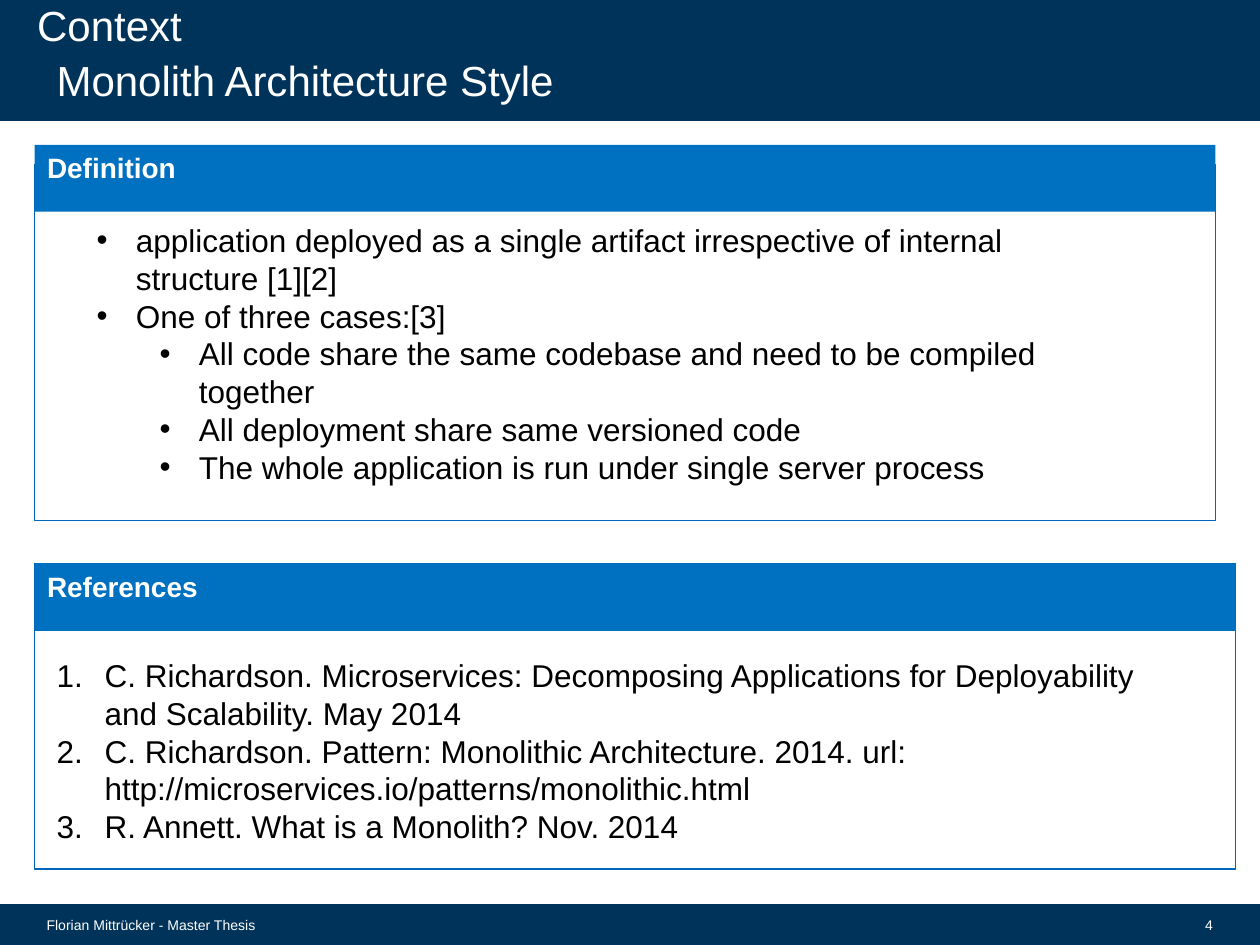
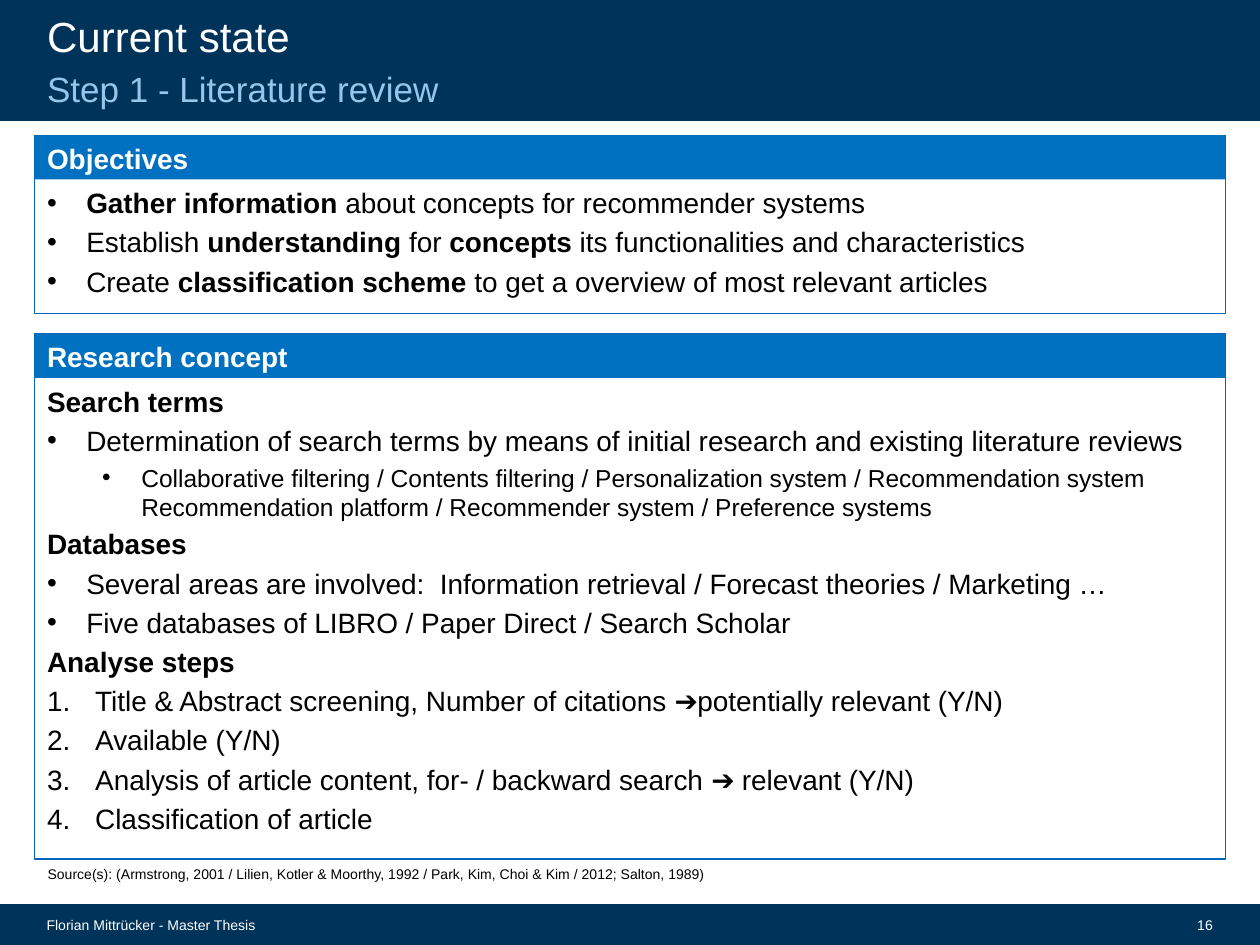
"""Build two thesis slides on monoliths and the literature review."""
from lxml.etree import SubElement as Sub
from pptx import Presentation as Deck
from pptx.dml.color import RGBColor as Rgb
from pptx.enum.shapes import MSO_SHAPE as Kind
from pptx.enum.text import MSO_ANCHOR as Anchor, PP_ALIGN as Align
from pptx.oxml.ns import qn
from pptx.util import Cm, Pt

FONT = "Arial"
NAVY, BLUE, EDGE, SKY = "003359", "0070C0", "0065BD", "98C6EA"
WHITE, BLACK = "FFFFFF", "000000"
WIDE, TALL = 25.4, 19.05
FOOT = 18.24
AUTHOR = "Florian Mittrücker - Master Thesis"

STYLES = {
    "plain": (0, 0, None),
    "dot": (0.79, -0.79, "•"),
    "deep": (2.06, -0.79, "•"),
    "sub": (1.9, -0.79, "•"),
    "num": (0.97, -0.97, "1."),
}

CASES = [
    ("dot", "application deployed as a single artifact irrespective of internal structure [1][2]"),
    ("dot", "One of three cases:[3]"),
    ("deep", "All code share the same codebase and need to be compiled together"),
    ("deep", "All deployment share same versioned code"),
    ("deep", "The whole application is run under single server process"),
]
WORKS = [
    ("num", "C. Richardson. Microservices: Decomposing Applications for Deployability "
            "and Scalability. May 2014"),
    ("num", "C. Richardson. Pattern: Monolithic Architecture. 2014. url: "
            "http://microservices.io/patterns/monolithic.html"),
    ("num", "R. Annett. What is a Monolith? Nov. 2014"),
]
GOALS = [
    ("dot", "**Gather information **about concepts for recommender systems"),
    ("dot", "Establish **understanding **for **concepts **its functionalities and characteristics"),
    ("dot", "Create **classification scheme **to get a overview of most relevant articles"),
]
STEPS = [
    ("plain", "**Search terms**"),
    ("dot", "Determination of search terms by means of initial research "
            "and existing literature reviews"),
    ("sub", "Collaborative ﬁltering / Contents ﬁltering / Personalization system / "
            "Recommendation system Recommendation platform / Recommender system / "
            "Preference systems"),
    ("plain", "**Databases**"),
    ("dot", "Several areas are involved:  Information retrieval / Forecast theories / Marketing …"),
    ("dot", "Five databases of LIBRO / Paper Direct / Search Scholar"),
    ("plain", "**Analyse steps**"),
    ("num", "Title & Abstract screening, Number of citations ➔potentially relevant (Y/N)"),
    ("num", "Available (Y/N)"),
    ("num", "Analysis of article content, for- / backward search ➔ relevant (Y/N)"),
    ("num", "Classification of article"),
]
SOURCE = ("Source(s): (Armstrong, 2001 / Lilien, Kotler & Moorthy, 1992 / "
          "Park, Kim, Choi & Kim / 2012; Salton, 1989)")


def hue(code):
    """Turn a hex string into a colour."""
    return Rgb.from_string(code)


def mark(para, style):
    """Give a paragraph its indent and its bullet or number."""
    margin, indent, sign = STYLES[style]
    props = para._p.get_or_add_pPr()
    props.set("marL", str(Cm(margin)))
    props.set("indent", str(Cm(indent)))
    if sign == "1.":
        Sub(props, qn("a:buAutoNum"), type="arabicPeriod")
    elif sign:
        Sub(props, qn("a:buFont"), typeface=FONT)
        Sub(props, qn("a:buChar"), char=sign)


def fill_text(frame, items, size, color, gap=0):
    """Write styled paragraphs, with bold parts between double stars."""
    for row, (style, text) in enumerate(items):
        para = frame.paragraphs[0] if row == 0 else frame.add_paragraph()
        para.alignment = Align.LEFT
        para.space_before = Pt(gap)
        mark(para, style)
        for turn, part in enumerate(text.split("**")):
            if part:
                run = para.add_run()
                run.text = part
                run.font.name = FONT
                run.font.size = Pt(14 if style == "sub" else size)
                run.font.bold = turn % 2 == 1
                run.font.color.rgb = hue(color)


def add_text(slide, box, items, size, color=BLACK, gap=0, anchor=Anchor.TOP):
    """Add a wrapping text box and return its frame."""
    frame = slide.shapes.add_textbox(*map(Cm, box)).text_frame
    frame.word_wrap = True
    frame.vertical_anchor = anchor
    fill_text(frame, items, size, color, gap)
    return frame


def add_rect(slide, box, fill=None, line=None, weight=0.75):
    """Add a flat rectangle with an optional fill and line."""
    rect = slide.shapes.add_shape(Kind.RECTANGLE, *map(Cm, box))
    rect.shadow.inherit = False
    if fill:
        rect.fill.solid()
        rect.fill.fore_color.rgb = hue(fill)
    else:
        rect.fill.background()
    if line:
        rect.line.color.rgb = hue(line)
        rect.line.width = Pt(weight)
    else:
        rect.line.fill.background()
    return rect


def add_title(slide, text, left, top):
    """Add a large white heading line."""
    frame = add_text(slide, (left, top, 20.93, 0.99), [("plain", text)], 24,
                     WHITE, anchor=Anchor.BOTTOM)
    frame.margin_top = frame.margin_bottom = 0


def add_panel(slide, title, box, bar, drop=0):
    """Add an outlined panel with a blue title bar."""
    left, top, width, height = box
    add_rect(slide, (left, top + drop, width, height - drop), line=EDGE)
    frame = add_rect(slide, (left, top, width, bar), BLUE).text_frame
    frame.word_wrap = True
    frame.vertical_anchor = Anchor.TOP
    fill_text(frame, [("plain", f"**{title}**")], 16, WHITE)


def add_base(deck, number):
    """Start a slide with its bands, author and number."""
    slide = deck.slides.add_slide(deck.slide_layouts[6])
    for top, height in ((FOOT, TALL - FOOT), (0, 2.42)):
        add_rect(slide, (0, top, WIDE, height), NAVY, NAVY, 1.35)
    add_text(slide, (0.69, FOOT, 5.41, 0.81), [("plain", AUTHOR)], 8, WHITE,
             anchor=Anchor.MIDDLE)
    frame = add_text(slide, (22.7, FOOT, 2, 0.81), [("plain", number)], 8, WHITE,
                     anchor=Anchor.MIDDLE)
    frame.paragraphs[0].alignment = Align.RIGHT
    return slide


def add_style(deck):
    """Build the slide on the monolith style."""
    slide = add_base(deck, "4")
    add_title(slide, "Context", 0.5, 0.01)
    add_title(slide, "Monolith Architecture Style", 0.89, 1.13)
    add_panel(slide, "Definition", (0.7, 2.92, 23.8, 7.57), 1.35, 0.41)
    add_panel(slide, "References", (0.7, 11.36, 24.21, 6.16), 1.36)
    add_text(slide, (1.7, 4.33, 21.21, 6.4), CASES, 18)
    add_text(slide, (0.89, 13.1, 23.32, 4.1), WORKS, 18)


def add_review(deck):
    """Build the slide on the literature review."""
    slide = add_base(deck, "16")
    add_title(slide, "Current state", 0.7, 0.23)
    add_text(slide, (0.7, 1.23, 21, 1.09), [("plain", "Step 1 - Literature review")], 20, SKY)
    bar = 0.89
    for title, top, height, items in (("Objectives", 2.73, 3.59, GOALS),
                                      ("Research concept", 6.73, 10.59, STEPS)):
        add_panel(slide, title, (0.7, top, 24, height), bar)
        add_text(slide, (0.7, top + bar, 24, height - bar), items, 16, gap=3.2)
    add_text(slide, (0.71, 17.32, 19.18, 0.61), [("plain", SOURCE)], 8)


def main():
    """Build and save the deck."""
    deck = Deck()
    deck.slide_width, deck.slide_height = Cm(WIDE), Cm(TALL)
    add_style(deck)
    add_review(deck)
    deck.save("out.pptx")


if __name__ == "__main__":
    main()
